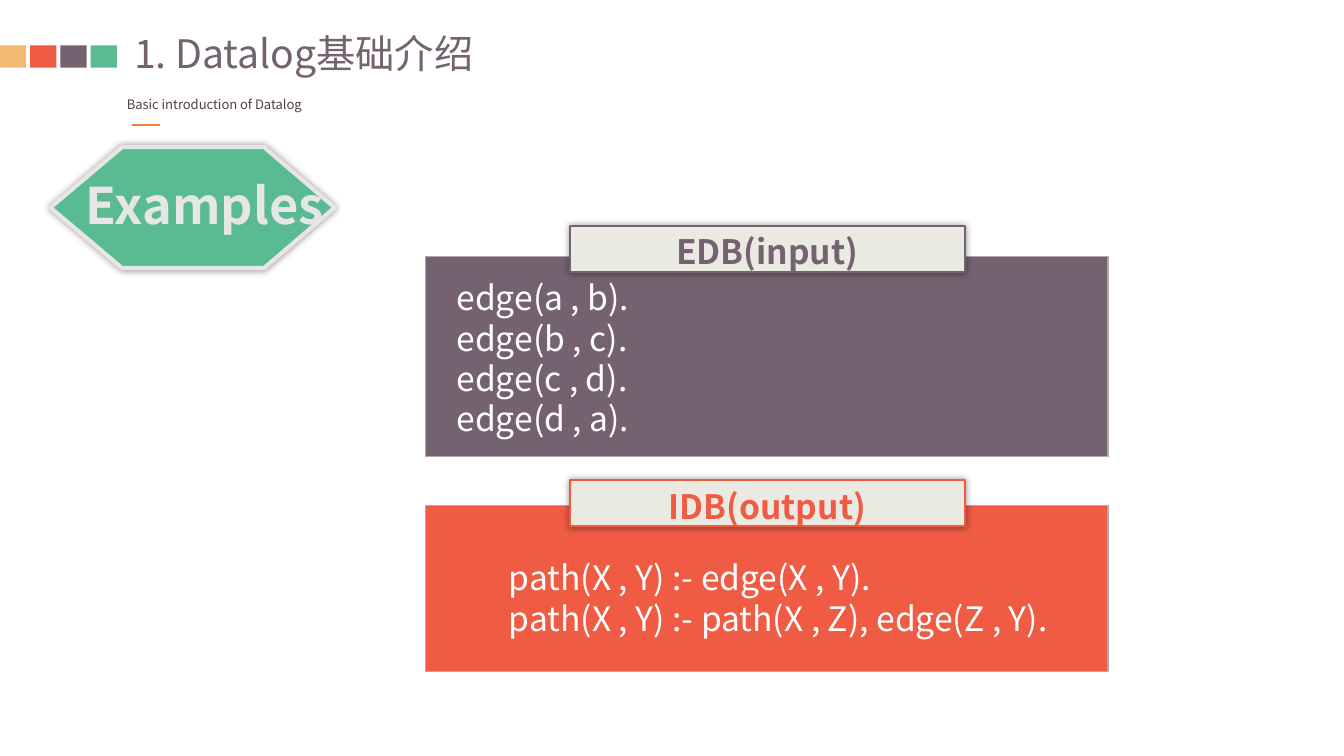
from dataclasses import dataclass

from lxml.etree import SubElement
from pptx import Presentation
from pptx.dml.color import RGBColor
from pptx.enum.shapes import MSO_CONNECTOR, MSO_SHAPE
from pptx.enum.text import MSO_AUTO_SIZE, PP_ALIGN
from pptx.oxml.ns import qn
from pptx.util import Inches, Pt

FONT = "Noto Sans CJK SC"
COLORS = {
    "sand": "F2B973", "red": "EF5B43", "purple": "756271", "green": "5ABB93",
    "white": "FFFFFF", "cream": "EBEAE2", "silver": "E7E6E6", "gray": "AFABAB",
    "orange": "ED7D31", "plum": "543C4F", "black": "000000",
}


@dataclass
class Box:
    left: float
    top: float
    width: float
    height: float

    def emu(self) -> list:
        return [Inches(v) for v in (self.left, self.top, self.width, self.height)]


@dataclass
class Text:
    box: Box
    lines: list[str]
    size: float
    color: str
    bold: bool = False
    centered: bool = False
    inset: bool = True
    wrap: bool = True


@dataclass
class Panel:
    color: str
    body: Box
    label: Box
    title: Text
    code: Text


def rgb(name: str) -> RGBColor:
    return RGBColor.from_string(COLORS[name])


def style(s, fill: str, line: str | None = None, width: float = 0) -> None:
    s.shadow.inherit = False
    s.fill.solid()
    s.fill.fore_color.rgb = rgb(fill)
    if line:
        s.line.color.rgb = rgb(line)
        s.line.width = Pt(width)
    else:
        s.line.fill.background()


def add_glow_shadow(s) -> None:
    effects = s._element.spPr.find(qn("a:effectLst"))
    shadow = SubElement(effects, qn("a:outerShdw"), blurRad=str(Pt(5)), dist="0",
                        dir="0", algn="ctr", rotWithShape="0")
    color = SubElement(shadow, qn("a:srgbClr"), val=COLORS["black"])
    SubElement(color, qn("a:alpha"), val="40000")


def add_rect(shapes, box: Box, fill: str, line: str | None = None, width: float = 0):
    s = shapes.add_shape(MSO_SHAPE.RECTANGLE, *box.emu())
    style(s, fill, line, width)
    return s


def add_text(shapes, text: Text) -> None:
    tf = shapes.add_textbox(*text.box.emu()).text_frame
    tf.word_wrap = text.wrap
    tf.auto_size = MSO_AUTO_SIZE.SHAPE_TO_FIT_TEXT
    if not text.inset:
        tf.margin_left = tf.margin_right = tf.margin_top = tf.margin_bottom = 0
    for i, line in enumerate(text.lines):
        p = tf.paragraphs[0] if i == 0 else tf.add_paragraph()
        r = p.add_run()
        r.text = line
        p.alignment = PP_ALIGN.CENTER if text.centered else PP_ALIGN.LEFT
        p.font.name = FONT
        p.font.size = Pt(text.size)
        p.font.bold = text.bold
        p.font.color.rgb = rgb(text.color)
        # East Asian characters take the same typeface
        latin = p.font._element.find(qn("a:latin"))
        ea = SubElement(p.font._element, qn("a:ea"), typeface=FONT)
        latin.addnext(ea)


def add_panel(shapes, panel: Panel) -> None:
    add_rect(shapes, panel.body, panel.color, "gray")
    add_text(shapes, panel.code)
    label = add_rect(shapes, panel.label, "cream", panel.color, 1.5)
    add_glow_shadow(label)
    add_text(shapes, panel.title)


def add_badge(shapes, points: list[tuple[float, float]], text: Text) -> None:
    start, *rest = [(Inches(x), Inches(y)) for x, y in points]
    builder = shapes.build_freeform(*start)
    builder.add_line_segments(rest, close=True)
    s = builder.convert_to_shape()
    style(s, "green", "silver", 3)
    add_glow_shadow(s)
    add_text(shapes, text)


HEXAGON = [(2.62, 1.46), (3.32, 2.06), (2.62, 2.66),
           (1.21, 2.66), (0.5, 2.06), (1.21, 1.46)]
EXAMPLES = Text(Box(0.25, 1.68, 3.56, 0.43), ["Examples"], 36, "silver",
                bold=True, centered=True)
HEADINGS = [
    Text(Box(1.33, 0.29, 3.99, 0.47), ["1. Datalog基础介绍"], 28, "purple", inset=False),
    Text(Box(1.16, 0.91, 2.03, 0.26), ["Basic introduction of Datalog"], 9.3, "plum",
         wrap=False),
]
PANELS = [
    Panel("purple", Box(4.22, 2.54, 6.77, 1.99), Box(5.65, 2.24, 3.92, 0.46),
          Text(Box(5.91, 2.24, 3.4, 0.5), ["EDB(input)"], 24, "purple", True, True),
          Text(Box(4.43, 2.7, 6.3, 2.12),
               ["edge(a , b).", "edge(b , c).", "edge(c , d).", "edge(d , a)."],
               24, "white")),
    Panel("red", Box(4.22, 5.02, 6.77, 1.64), Box(5.65, 4.76, 3.92, 0.46),
          Text(Box(5.91, 4.77, 3.4, 0.5), ["IDB(output)"], 24, "red", True, True),
          Text(Box(4.95, 5.48, 6.3, 0.91),
               ["path(X , Y) :- edge(X , Y).",
                "path(X , Y) :- path(X , Z), edge(Z , Y)."],
               24, "white")),
]


def main() -> None:
    prs = Presentation()
    prs.slide_width, prs.slide_height = Inches(13.33), Inches(7.5)
    shapes = prs.slides.add_slide(prs.slide_layouts[6]).shapes

    # Colour squares beside the title
    for i, color in enumerate(("sand", "red", "purple", "green")):
        add_rect(shapes, Box(i * 0.3, 0.45, 0.26, 0.22), color)

    # Short rule under the subtitle
    rule = shapes.add_connector(MSO_CONNECTOR.STRAIGHT, Inches(1.31), Inches(1.24),
                                Inches(1.59), Inches(1.24))
    rule.line.color.rgb = rgb("orange")
    rule.line.width = Pt(1.5)
    SubElement(rule._element.spPr, qn("a:effectLst"))

    # Input and output panels
    for panel in PANELS:
        add_panel(shapes, panel)

    # Badge and headings
    add_badge(shapes, HEXAGON, EXAMPLES)
    for heading in HEADINGS:
        add_text(shapes, heading)

    prs.save("out.pptx")


if __name__ == "__main__":
    main()
